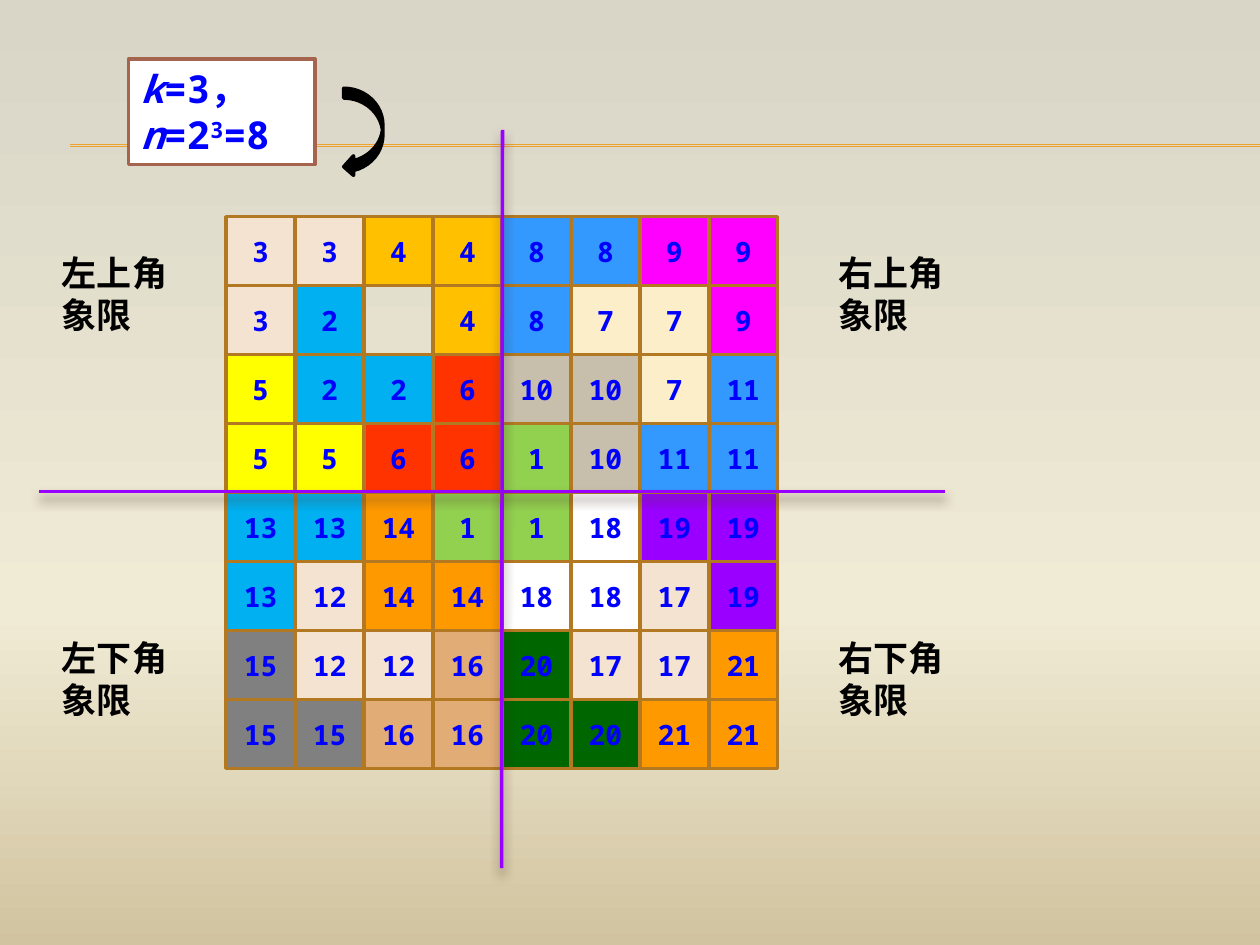
from pptx import Presentation
from pptx.dml.color import RGBColor
from pptx.enum.shapes import MSO_CONNECTOR as Link, MSO_SHAPE as Shape
from pptx.enum.text import MSO_ANCHOR as Anchor, MSO_AUTO_SIZE as AutoSize, PP_ALIGN as Align
from pptx.oxml import parse_xml
from pptx.oxml.ns import nsdecls
from pptx.util import Cm, Pt

FONT = "Noto Sans Mono"
BLACK = RGBColor(0x00, 0x00, 0x00)
WHITE = RGBColor(0xFF, 0xFF, 0xFF)
BLUE = RGBColor(0x00, 0x00, 0xFF)
BROWN = RGBColor(0xB2, 0x78, 0x22)
RUST = RGBColor(0xA5, 0x64, 0x4E)
GOLD = RGBColor(0xF0, 0xA2, 0x2E)
SHADOW = RGBColor(0x4E, 0x3B, 0x30)
PURPLE = RGBColor(0x99, 0x00, 0xFF)
PEACH = RGBColor(0xF5, 0xE3, 0xD1)
AMBER = RGBColor(0xFF, 0xC0, 0x00)
AZURE = RGBColor(0x33, 0x99, 0xFF)
MAGENTA = RGBColor(0xFF, 0x00, 0xFF)
CYAN = RGBColor(0x00, 0xB0, 0xF0)
CREAM = RGBColor(0xFB, 0xEE, 0xC9)
YELLOW = RGBColor(0xFF, 0xFF, 0x00)
RED = RGBColor(0xFF, 0x33, 0x00)
STONE = RGBColor(0xC7, 0xBF, 0xAC)
LIME = RGBColor(0x92, 0xD0, 0x50)
ORANGE = RGBColor(0xFF, 0x99, 0x00)
GREY = RGBColor(0x80, 0x80, 0x80)
TAN = RGBColor(0xE2, 0xAC, 0x76)
GREEN = RGBColor(0x00, 0x66, 0x00)
BACKDROP = [
    (0, RGBColor(0xD9, 0xD5, 0xC7)),
    (65, RGBColor(0xF0, 0xEB, 0xD5)),
    (100, RGBColor(0xD1, 0xC3, 0x9F)),
]

# Content: the chessboard (0 is the special square) and the colour of each domino
BOARD = [
    [3, 3, 4, 4, 8, 8, 9, 9],
    [3, 2, 0, 4, 8, 7, 7, 9],
    [5, 2, 2, 6, 10, 10, 7, 11],
    [5, 5, 6, 6, 1, 10, 11, 11],
    [13, 13, 14, 1, 1, 18, 19, 19],
    [13, 12, 14, 14, 18, 18, 17, 19],
    [15, 12, 12, 16, 20, 17, 17, 21],
    [15, 15, 16, 16, 20, 20, 21, 21],
]
DOMINO_COLORS = {
    1: LIME, 2: CYAN, 3: PEACH, 4: AMBER, 5: YELLOW, 6: RED, 7: CREAM,
    8: AZURE, 9: MAGENTA, 10: STONE, 11: AZURE, 12: PEACH, 13: CYAN,
    14: ORANGE, 15: GREY, 16: TAN, 17: PEACH, 18: WHITE, 19: PURPLE,
    20: GREEN, 21: ORANGE,
}
FORMULA = [("k", "italic"), ("=3，", ""), ("n", "italic"), ("=2", ""), ("3", "super"), ("=8", "")]
# Quadrant labels: text, left, top, width
QUADRANTS = [
    ("左上角象限", 1, 4.95, 2.77),
    ("右上角象限", 16.66, 4.95, 2.77),
    ("右下角象限", 16.66, 12.7, 3.18),
    ("左下角象限", 1, 12.7, 3.18),
]
# Lines: start x, start y, end x, end y
HEADER_RULES = [(1.42, 2.92, 25.4, 2.92), (1.42, 2.95, 25.4, 2.95)]
AXES = [(0.79, 9.91, 19.05, 9.91), (10.13, 2.62, 10.11, 17.5)]
BOARD_LEFT, BOARD_TOP, CELL = 4.56, 4.37, 1.39


def add_span(para, text, size, color, style=""):
    span = para.add_run()
    span.text = text
    font = span.font
    font.name, font.size, font.bold = FONT, Pt(size), True
    font.color.rgb = color
    if style == "italic":
        font.italic = True
    elif style == "super":
        font._element.set("baseline", "30000")


def add_block(shapes, kind, left, top, width, height, fill, line):
    block = shapes.add_shape(kind, Cm(left), Cm(top), Cm(width), Cm(height))
    block.shadow.inherit = False
    block.fill.solid()
    block.fill.fore_color.rgb = fill
    block.line.color.rgb = line
    block.line.width = Pt(2)
    return block


def add_line(page, ends, color, width, shadow=""):
    line = page.shapes.add_connector(Link.STRAIGHT, *[Cm(end) for end in ends])
    line.line.color.rgb = color
    line.line.width = Pt(width)
    effects = f"<a:effectLst {nsdecls('a')}>{shadow}</a:effectLst>"
    line._element.spPr.append(parse_xml(effects))


def set_backdrop(page):
    stops = "".join(
        f'<a:gs pos="{place * 1000}"><a:srgbClr val="{color}"/></a:gs>' for place, color in BACKDROP
    )
    page.element.cSld.insert(0, parse_xml(
        f"<p:bg {nsdecls('p', 'a')}><p:bgPr><a:gradFill><a:gsLst>{stops}</a:gsLst>"
        '<a:lin ang="5400000" scaled="0"/></a:gradFill><a:effectLst/></p:bgPr></p:bg>'
    ))


def add_formula(page):
    box = add_block(page.shapes, Shape.RECTANGLE, 2.59, 1.19, 3.76, 2.13, WHITE, RUST)
    frame = box.text_frame
    frame.word_wrap = True
    frame.auto_size = AutoSize.SHAPE_TO_FIT_TEXT
    frame.vertical_anchor = Anchor.TOP
    para = frame.paragraphs[0]
    para.alignment = Align.LEFT
    for text, style in FORMULA:
        add_span(para, text, 22, BLUE, style)


def add_board(page):
    # One group per L-shaped domino
    for number, color in DOMINO_COLORS.items():
        domino = page.shapes.add_group_shape()
        for row, values in enumerate(BOARD):
            for column, value in enumerate(values):
                if value != number:
                    continue
                square = add_block(
                    domino.shapes, Shape.RECTANGLE, BOARD_LEFT + column * CELL,
                    BOARD_TOP + row * CELL, CELL, CELL, color, BROWN,
                )
                frame = square.text_frame
                frame.vertical_anchor = Anchor.MIDDLE
                para = frame.paragraphs[0]
                para.alignment = Align.CENTER
                add_span(para, str(number), 16, BLUE)


def add_quadrant_labels(page):
    for text, left, top, width in QUADRANTS:
        box = page.shapes.add_textbox(Cm(left), Cm(top), Cm(width), Cm(1.96))
        frame = box.text_frame
        frame.word_wrap = True
        frame.auto_size = AutoSize.SHAPE_TO_FIT_TEXT
        add_span(frame.paragraphs[0], text, 20, BLACK)


def main():
    deck = Presentation()
    deck.slide_width, deck.slide_height = Cm(25.4), Cm(19.05)
    page = deck.slides.add_slide(deck.slide_layouts[6])
    set_backdrop(page)
    for ends in HEADER_RULES:
        add_line(page, ends, GOLD, 0.75)
    add_formula(page)
    add_board(page)
    add_block(page.shapes, Shape.CURVED_LEFT_ARROW, 6.93, 1.78, 0.79, 1.78, BLACK, BLACK)

    # Axes that split the board, with a soft shadow below
    shadow = (
        f'<a:outerShdw blurRad="{Pt(6)}" dist="{Pt(4)}" dir="5400000" rotWithShape="0">'
        f'<a:srgbClr val="{SHADOW}"><a:alpha val="60000"/></a:srgbClr></a:outerShdw>'
    )
    for ends in AXES:
        add_line(page, ends, PURPLE, 2, shadow)
    add_quadrant_labels(page)
    deck.save("out.pptx")


if __name__ == "__main__":
    main()
